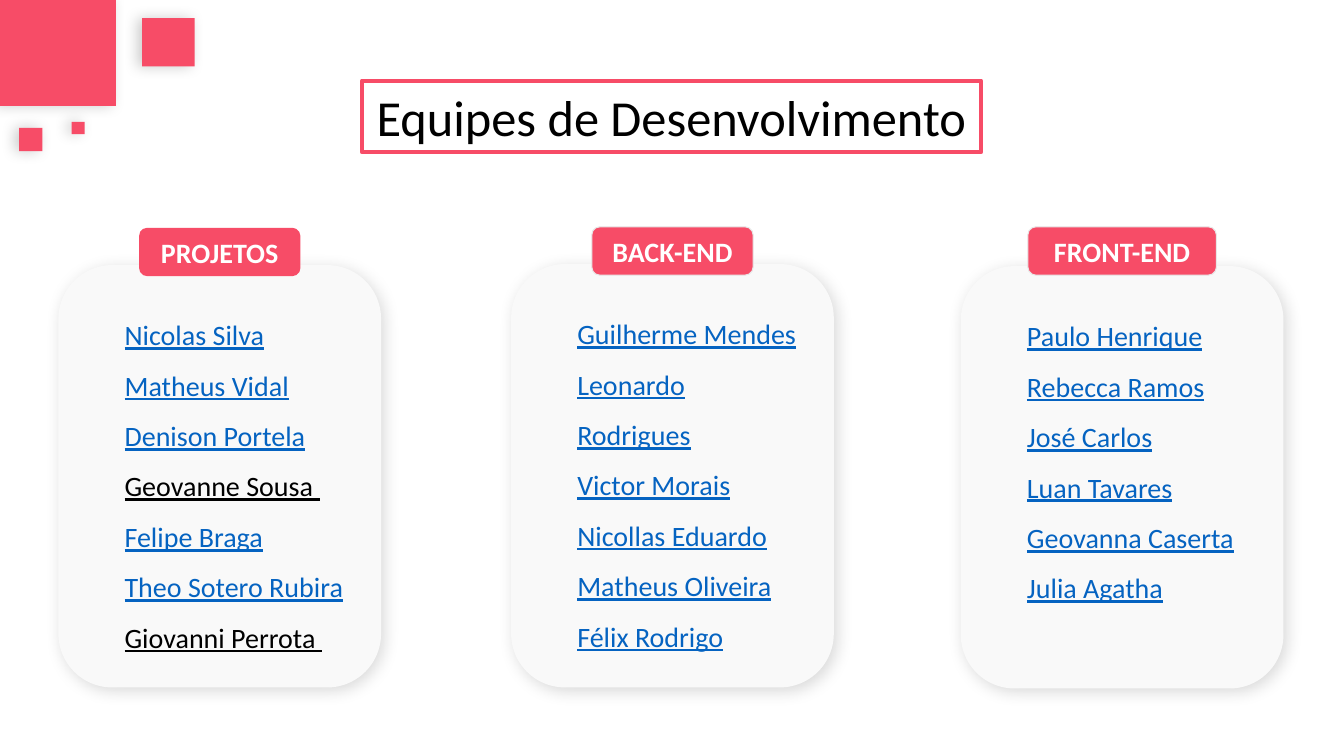
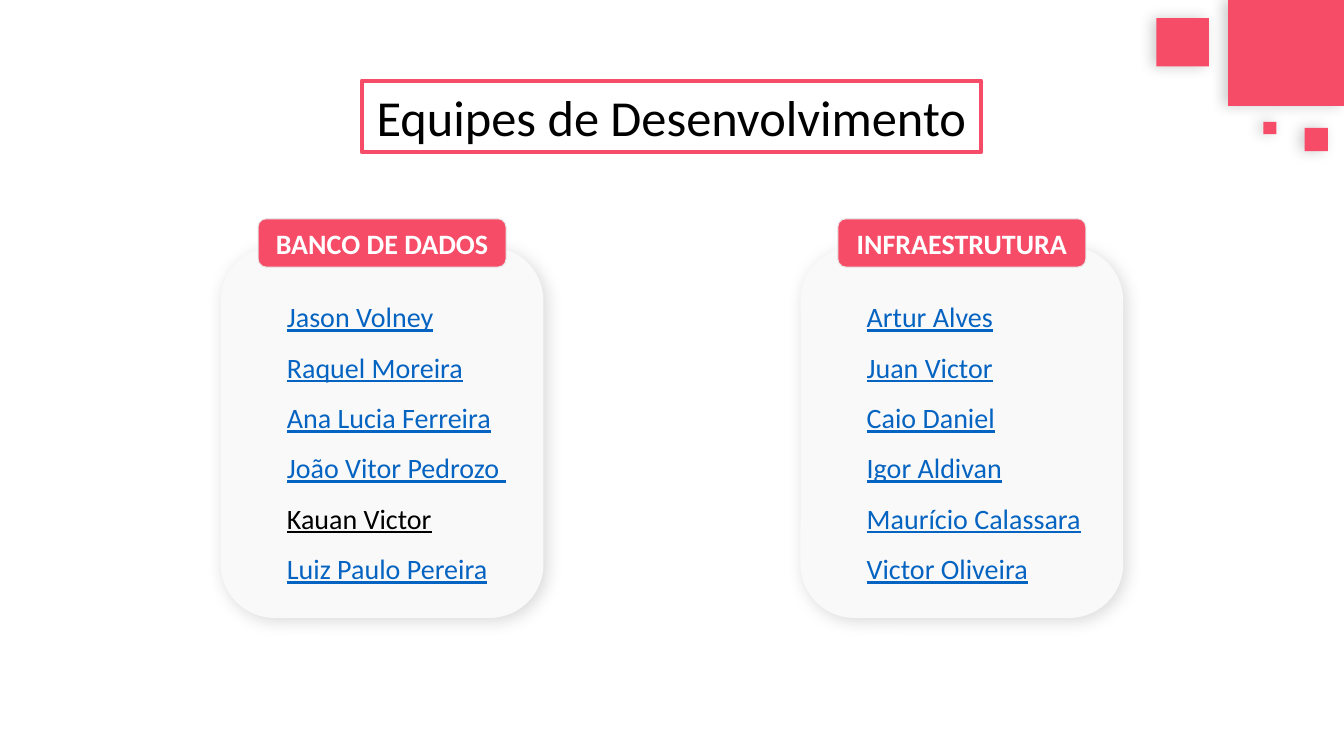
import pptx
import pptx.util
import pptx.dml.color
import pptx.enum.shapes
import pptx.enum.text
import pptx.oxml
import pptx.oxml.ns

Inches = pptx.util.Inches
Pt = pptx.util.Pt
SHAPES = pptx.enum.shapes.MSO_SHAPE
ALIGN = pptx.enum.text.PP_ALIGN
ANCHOR = pptx.enum.text.MSO_ANCHOR
AUTO_SIZE = pptx.enum.text.MSO_AUTO_SIZE

FONT = "Calibri"
PINK = "F74C67"
CARD = "F9F9F9"
TAG_BORDER = "E7E7E7"
LINK = "0563C1"
BLACK = "000000"
WHITE = "FFFFFF"
TITLE = "Equipes de Desenvolvimento"
CARD_WIDTH = 3.2
TAG_HEIGHT = 0.48

SQUARES = [
    (1.05, 1.15, 0),
    (0.48, 0.52, 0.18),
    (0.23, 0.23, 1.27),
    (0.12, 0.13, 1.21),
]
LEFT_CORNER = [0, 1.41, 0.19, 0.71]
RIGHT_CORNER = [12.18, 11.47, 12.94, 12.53]

UNLINKED = {"Geovanne Sousa ", "Giovanni Perrota ", "Kauan Victor"}
PROJECTS = ["Nicolas Silva", "Matheus Vidal", "Denison Portela", "Geovanne Sousa ",
            "Felipe Braga", "Theo Sotero Rubira", "Giovanni Perrota "]
BACK_END = ["Guilherme Mendes", "Leonardo Rodrigues", "Victor Morais",
            "Nicollas Eduardo", "Matheus Oliveira", "Félix Rodrigo"]
FRONT_END = ["Paulo Henrique", "Rebecca Ramos", "José Carlos", "Luan Tavares",
             "Geovanna Caserta", "Julia Agatha"]
DATABASE = ["Jason Volney", "Raquel Moreira", "Ana Lucia Ferreira",
            "João Vitor Pedrozo ", "Kauan Victor", "Luiz Paulo Pereira"]
INFRASTRUCTURE = ["Artur Alves", "Juan Victor", "Caio Daniel", "Igor Aldivan",
                  "Maurício Calassara", "Victor Oliveira"]


def color(value):
    return pptx.dml.color.RGBColor.from_string(value)


def style_font(font, size, value, bold=False, underline=False):
    font.name = FONT
    font.size = Pt(size)
    font.color.rgb = color(value)
    font.bold = bold
    font.underline = underline


def add_shadow(shape, opacity, blur, distance, angle):
    effects = shape._element.spPr.find(pptx.oxml.ns.qn("a:effectLst"))
    effects.append(pptx.oxml.parse_xml(
        f'<a:outerShdw {pptx.oxml.ns.nsdecls("a")} blurRad="{Pt(blur)}" '
        f'dist="{Pt(distance)}" dir="{angle * 60000}" algn="ctr" rotWithShape="0">'
        f'<a:srgbClr val="{BLACK}"><a:alpha val="{opacity * 1000}"/></a:srgbClr>'
        '</a:outerShdw>'))


def add_box(slide, kind, left, top, width, height, fill, border=None):
    shape = slide.shapes.add_shape(
        kind, Inches(left), Inches(top), Inches(width), Inches(height))
    shape.shadow.inherit = False
    shape.fill.solid()
    shape.fill.fore_color.rgb = color(fill)
    if border:
        shape.line.color.rgb = color(border)
        shape.line.width = Pt(0.75)
    else:
        shape.line.fill.background()
    return shape


def set_title(slide):
    title = slide.shapes.title
    title.left, title.top = Inches(3.59), Inches(0.8)
    title.width, title.height = Inches(6.14), Inches(0.71)
    title.line.color.rgb = color(PINK)
    title.line.width = Pt(3)
    frame = title.text_frame
    frame.text = TITLE
    frame.auto_size = AUTO_SIZE.NONE
    frame.vertical_anchor = ANCHOR.TOP
    paragraph = frame.paragraphs[0]
    paragraph.alignment = ALIGN.CENTER
    style_font(paragraph.runs[0].font, 36, BLACK)


def add_corner_squares(slide, lefts):
    for left, (height, width, top) in zip(lefts, SQUARES):
        square = add_box(slide, SHAPES.RECTANGLE, left, top, width, height, PINK)
        add_shadow(square, 20, 10, 3, 180)


def add_card(slide, left, top, height, names, alignment):
    card = add_box(slide, SHAPES.ROUNDED_RECTANGLE, left, top, CARD_WIDTH, height, CARD)
    add_shadow(card, 15, 12, 3, 45)
    frame = card.text_frame
    frame.word_wrap = True
    frame.auto_size = AUTO_SIZE.SHAPE_TO_FIT_TEXT
    frame.vertical_anchor = ANCHOR.TOP
    frame.margin_left = 0
    frame.margin_top = frame.margin_right = frame.margin_bottom = Inches(0.2)
    frame.text = "\n".join(names)
    for name, paragraph in zip(names, frame.paragraphs):
        paragraph.alignment = alignment
        paragraph.level = 1
        paragraph.line_spacing = 1.5
        properties = paragraph._p.get_or_add_pPr()
        properties.set("marL", str(Inches(0.5)))
        properties.set("indent", "0")
        value = BLACK if name in UNLINKED else LINK
        style_font(paragraph.runs[0].font, 20, value, underline=True)


def add_tag(slide, card_left, top, width, label, border):
    left = card_left + (CARD_WIDTH - width) / 2
    tag = add_box(slide, SHAPES.ROUNDED_RECTANGLE, left, top, width, TAG_HEIGHT,
                  PINK, border)
    frame = tag.text_frame
    frame.word_wrap = True
    frame.vertical_anchor = ANCHOR.MIDDLE
    frame.text = label
    paragraph = frame.paragraphs[0]
    paragraph.alignment = ALIGN.CENTER
    style_font(paragraph.runs[0].font, 20, WHITE, bold=True)


def add_team(slide, label, names, left, top, height, tag_top, tag_width,
             border=TAG_BORDER, alignment=ALIGN.LEFT):
    add_card(slide, left, top, height, names, alignment)
    add_tag(slide, left, tag_top, tag_width, label, border)


def add_team_slide(presentation, corner):
    slide = presentation.slides.add_slide(presentation.slide_layouts[5])
    set_title(slide)
    add_corner_squares(slide, corner)
    return slide


def main():
    presentation = pptx.Presentation()
    presentation.slide_width = Inches(13.33)
    presentation.slide_height = Inches(7.5)

    slide = add_team_slide(presentation, LEFT_CORNER)
    add_team(slide, "PROJETOS", PROJECTS, 0.58, 2.63, 4.19, 2.26, 1.6, border=None)
    add_team(slide, "BACK-END", BACK_END, 5.07, 2.62, 4.2, 2.25, 1.6,
             alignment=ALIGN.JUSTIFY)
    add_team(slide, "FRONT-END", FRONT_END, 9.53, 2.64, 4.19, 2.25, 1.87)

    slide = add_team_slide(presentation, RIGHT_CORNER)
    add_team(slide, "BANCO DE DADOS", DATABASE, 2.19, 2.45, 3.68, 2.17, 2.46)
    add_team(slide, "INFRAESTRUTURA", INFRASTRUCTURE, 7.94, 2.45, 3.68, 2.17, 2.46)

    presentation.save("out.pptx")


if __name__ == "__main__":
    main()
